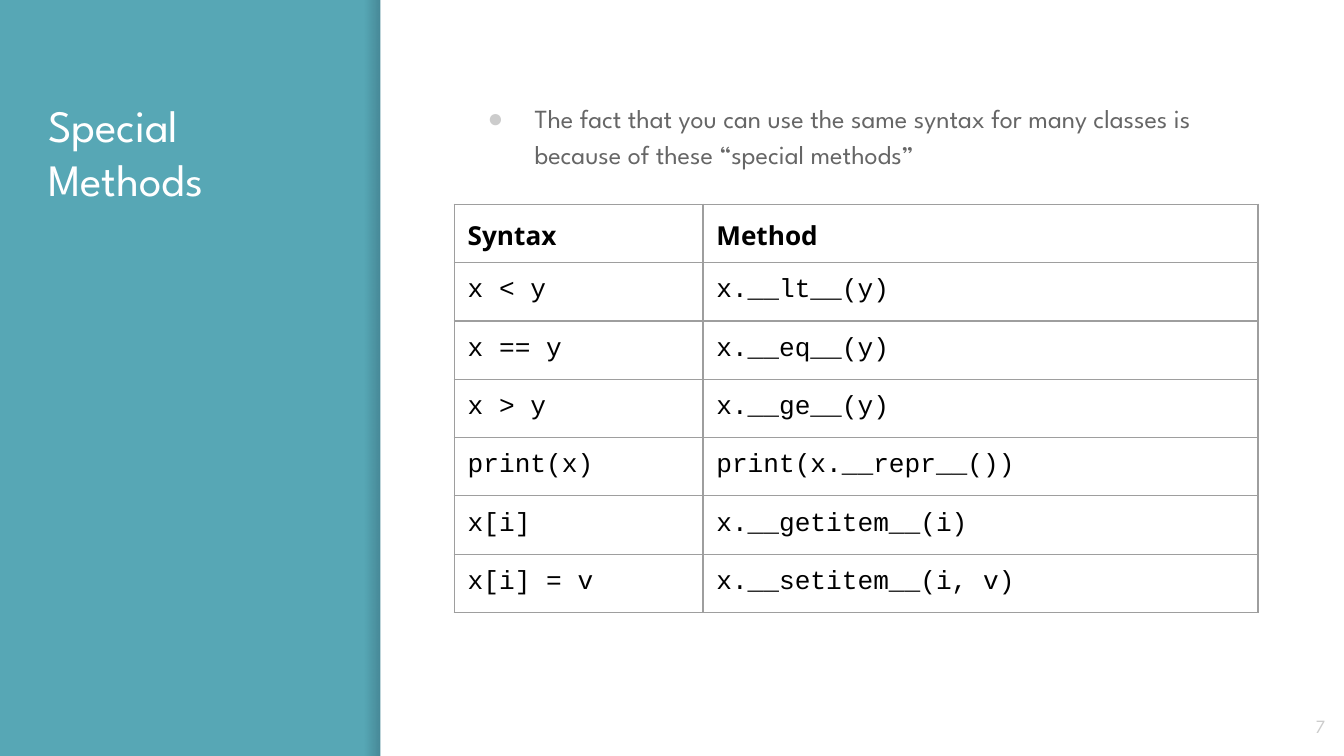
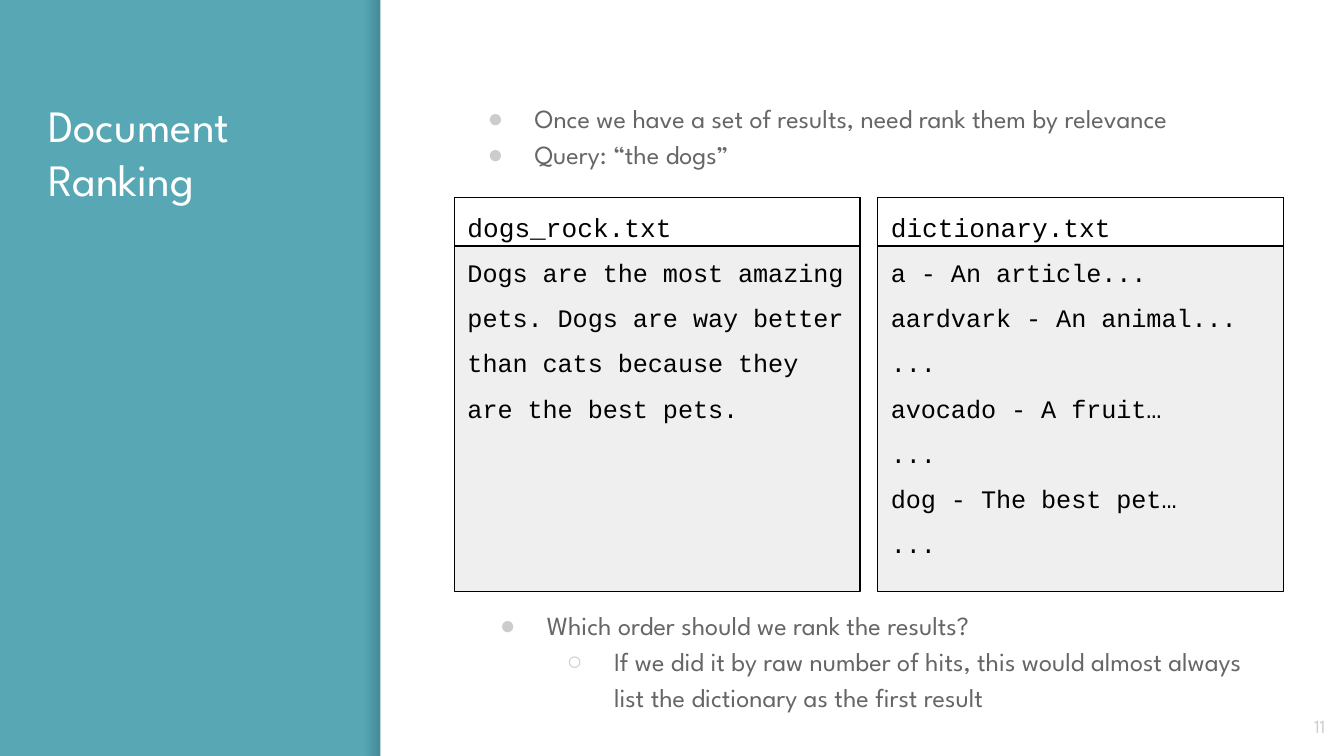
import dataclasses

import pptx
import pptx.dml.color
import pptx.enum.shapes
import pptx.enum.text
import pptx.oxml
import pptx.oxml.ns
import pptx.util
from lxml import etree

Inches = pptx.util.Inches
Pt = pptx.util.Pt
qn = pptx.oxml.ns.qn
ALIGN = pptx.enum.text.PP_ALIGN
ANCHOR = pptx.enum.text.MSO_ANCHOR
RECTANGLE = pptx.enum.shapes.MSO_SHAPE.RECTANGLE


@dataclasses.dataclass(frozen=True)
class Theme:
    teal: str = "57A7B5"
    white: str = "FFFFFF"
    black: str = "000000"
    shadow: str = "000014"
    body: str = "666666"
    muted: str = "CCCCCC"
    grid: str = "9E9E9E"
    file_fill: str = "EFEFEF"
    sans: str = "League Spartan"
    heading: str = "Open Sans"
    mono: str = "Courier New"
    bullet: str = "Arial"
    title_size: float = 24
    body_size: float = 14
    file_size: float = 13.5
    number_size: float = 10
    hairline: float = 0.75
    inset: float = 0.1


@dataclasses.dataclass(frozen=True)
class Box:
    left: float
    top: float
    width: float
    height: float

    def emu(self):
        return [Inches(side) for side in dataclasses.astuple(self)]


THEME = Theme()
SLIDE = Box(0, 0, 10, 10 * 9 / 16)
SIDEBAR_WIDTH = 2.83
SHADOW_WIDTH = 0.12
TITLE = Box(0.26, 0.63, 2.24, 4.35)
CONTENT = Box(3.38, 0.63, 6.12, 4.35)
NUMBER = Box(9.36, 5.19, 0.6, 0.43)
BULLETS = ("●", "○")

METHODS = [
    ("Syntax", "Method"),
    ("x < y", "x.__lt__(y)"),
    ("x == y", "x.__eq__(y)"),
    ("x > y", "x.__ge__(y)"),
    ("print(x)", "print(x.__repr__())"),
    ("x[i]", "x.__getitem__(i)"),
    ("x[i] = v", "x.__setitem__(i, v)"),
]
FILES = [
    ("dogs_rock.txt", [
        "Dogs are the most amazing pets. Dogs are way better than cats "
        "because they are the best pets.",
    ]),
    ("dictionary.txt", [
        "a - An article...",
        "aardvark - An animal...",
        "...",
        "avocado - A fruit…",
        "...",
        "dog - The best pet…",
        "...",
    ]),
]


def rgb(color):
    return pptx.dml.color.RGBColor.from_string(color)


def style_font(paragraph, name, size, color, bold=False):
    font = paragraph.font
    font.name, font.size, font.bold = name, Pt(size), bold
    font.color.rgb = rgb(color)


def write(frame, lines, name, size, color, align=ALIGN.LEFT, anchor=ANCHOR.TOP,
          spacing=None, top_inset=THEME.inset):
    frame.word_wrap = True
    frame.vertical_anchor = anchor
    frame.margin_left = frame.margin_right = frame.margin_bottom = Inches(THEME.inset)
    frame.margin_top = Inches(top_inset)
    for index, line in enumerate(lines):
        paragraph = frame.paragraphs[0] if index == 0 else frame.add_paragraph()
        paragraph.text = line
        paragraph.alignment = align
        paragraph.line_spacing = spacing
        style_font(paragraph, name, size, color)


def add_label(slide, box, text, size, color, **layout):
    label = slide.shapes.add_textbox(*box.emu())
    write(label.text_frame, [text], THEME.sans, size, color, **layout)


def add_rectangle(slide, box, fill, line=None):
    rectangle = slide.shapes.add_shape(RECTANGLE, *box.emu())
    rectangle.shadow.inherit = False
    rectangle.fill.solid()
    rectangle.fill.fore_color.rgb = rgb(fill)
    if line:
        rectangle.line.color.rgb = rgb(line)
        rectangle.line.width = Pt(THEME.hairline)
    else:
        rectangle.line.fill.background()
    return rectangle


def add_edge_shadow(slide, box):
    """Fade from clear on the left to 20% dark on the right."""
    edge = add_rectangle(slide, box, THEME.shadow)
    edge.fill.gradient()
    edge.fill.gradient_angle = 0
    for stop in edge.fill.gradient_stops:
        stop.color.rgb = rgb(THEME.shadow)
    colors = edge._element.spPr.iter(qn("a:srgbClr"))
    for color, opacity in zip(colors, (0, 20)):
        etree.SubElement(color, qn("a:alpha"), val=str(opacity * 1000))


def add_bullets(slide, box, items):
    """Write (level, text) items as a bulleted list."""
    frame = slide.shapes.add_textbox(*box.emu()).text_frame
    write(frame, [text for _, text in items], THEME.sans, THEME.body_size,
          THEME.body, spacing=1.15)
    for paragraph, (level, _) in zip(frame.paragraphs, items):
        paragraph.level = level
        properties = paragraph._p.get_or_add_pPr()
        properties.set("marL", str(Inches(0.5 * (level + 1))))
        properties.set("indent", str(Inches(-0.35)))
        defaults = properties.find(qn("a:defRPr"))
        color = etree.Element(qn("a:buClr"))
        etree.SubElement(color, qn("a:srgbClr"), val=THEME.muted)
        font = etree.Element(qn("a:buFont"), typeface=THEME.bullet)
        bullet = etree.Element(qn("a:buChar"), char=BULLETS[level])
        for element in (color, font, bullet):
            defaults.addprevious(element)


def add_cell_borders(cell):
    properties = cell._tc.get_or_add_tcPr()
    for side in ("a:lnL", "a:lnR", "a:lnT", "a:lnB"):
        border = etree.SubElement(properties, qn(side), w=str(Pt(THEME.hairline)))
        fill = etree.SubElement(border, qn("a:solidFill"))
        etree.SubElement(fill, qn("a:srgbClr"), val=THEME.grid)


def add_methods_table(slide, box, rows, column_widths, row_height):
    """Fill a table frame; the rows keep their own height inside it."""
    frame = slide.shapes.add_table(len(rows), len(column_widths), *box.emu())
    table = frame.table
    table.first_row = table.horz_banding = False
    for column, width in zip(table.columns, column_widths):
        column.width = Inches(width)
    for row_index, texts in enumerate(rows):
        is_header = row_index == 0
        table.rows[row_index].height = Inches(row_height)
        for column_index, text in enumerate(texts):
            cell = table.cell(row_index, column_index)
            cell.margin_left = cell.margin_right = Inches(THEME.inset)
            cell.margin_top = cell.margin_bottom = Inches(THEME.inset)
            add_cell_borders(cell)
            cell.fill.background()
            cell.text = text
            style_font(cell.text_frame.paragraphs[0],
                       THEME.heading if is_header else THEME.mono,
                       THEME.body_size, THEME.black, is_header)
    frame.width, frame.height = Inches(box.width), Inches(box.height)


def add_file(slide, box, name, lines):
    """Draw a text file: its contents with the file name in a strip on top."""
    contents = add_rectangle(slide, box, THEME.file_fill, THEME.black)
    write(contents.text_frame, lines, THEME.mono, THEME.file_size, THEME.black,
          spacing=1.5, top_inset=0.33)
    name_strip = add_rectangle(slide, dataclasses.replace(box, height=0.36),
                               THEME.white, THEME.black)
    write(name_strip.text_frame, [name], THEME.mono, THEME.body_size, THEME.black)


def add_files(slide, box, files, gap=0.13):
    width = (box.width - gap * (len(files) - 1)) / len(files)
    for index, (name, lines) in enumerate(files):
        left = box.left + index * (width + gap)
        add_file(slide, Box(left, box.top, width, box.height), name, lines)


def add_sidebar_slide(deck, title, number):
    slide = deck.slides.add_slide(deck.slide_layouts[6])
    slide.background.fill.solid()
    slide.background.fill.fore_color.rgb = rgb(THEME.teal)
    add_edge_shadow(slide, Box(SIDEBAR_WIDTH - SHADOW_WIDTH, 0, SHADOW_WIDTH, SLIDE.height))
    add_rectangle(slide, Box(SIDEBAR_WIDTH, 0, SLIDE.width - SIDEBAR_WIDTH, SLIDE.height),
                  THEME.white)
    add_label(slide, TITLE, title, THEME.title_size, THEME.white)
    add_label(slide, NUMBER, str(number), THEME.number_size, THEME.muted,
              align=ALIGN.RIGHT, anchor=ANCHOR.MIDDLE)
    return slide


def add_special_methods(deck):
    slide = add_sidebar_slide(deck, "Special Methods", 7)
    add_bullets(slide, CONTENT, [
        (0, "The fact that you can use the same syntax for many classes is "
            "because of these “special methods”"),
    ])
    add_methods_table(slide, Box(CONTENT.left, 1.52, 3.28, 3.28), METHODS,
                      column_widths=(1.85, 4.13), row_height=0.42)


def add_document_ranking(deck):
    slide = add_sidebar_slide(deck, "Document Ranking", 11)
    add_bullets(slide, dataclasses.replace(CONTENT, height=4.57), [
        (0, "Once we have a set of results, need rank them by relevance"),
        (0, "Query: “the dogs”"),
    ])
    files = Box(CONTENT.left, 1.47, 6.17, 2.93)
    add_files(slide, files, FILES)
    add_bullets(slide, Box(3.47, files.top + files.height, CONTENT.width, 0.99), [
        (0, "Which order should we rank the results?"),
        (1, "If we did it by raw number of hits, this would almost always "
            "list the dictionary as the first result"),
    ])


def main():
    deck = pptx.Presentation()
    deck.slide_width, deck.slide_height = Inches(SLIDE.width), Inches(SLIDE.height)
    add_special_methods(deck)
    add_document_ranking(deck)
    deck.save("out.pptx")


if __name__ == "__main__":
    main()
